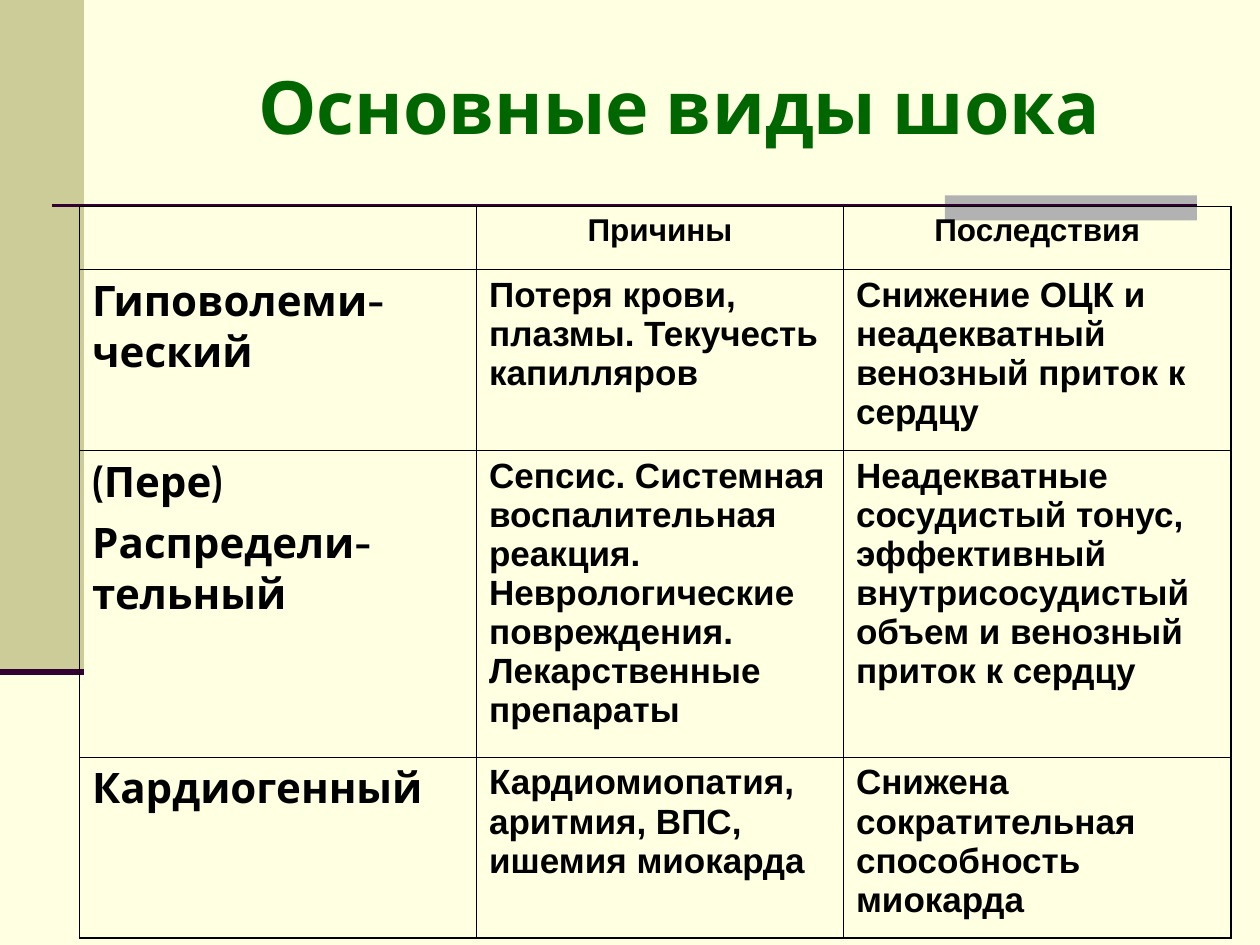
import pptx
import pptx.util
import pptx.dml.color
import pptx.enum.shapes
import pptx.enum.text
import pptx.oxml.ns
from lxml import etree

Pt = pptx.util.Pt
ALIGN = pptx.enum.text.PP_ALIGN
HUES = {"page": "FFFFE1", "side": "CCCC99", "bar": "B2B2B2",
        "rule": "330033", "title": "006600", "text": "000000"}


def tint(name):
    return pptx.dml.color.RGBColor.from_string(HUES[name])


def write(frame, lines, face, size, hue, align, gap=0):
    frame.word_wrap = True
    for i, line in enumerate(lines):
        para = frame.paragraphs[0] if i == 0 else frame.add_paragraph()
        para.text = line
        para.alignment = align
        if i:
            para.space_before = Pt(gap)
        form = {"name": face, "size": Pt(size), "bold": True}
        for key, value in form.items():
            setattr(para.font, key, value)
        para.font.color.rgb = tint(hue)


deck = pptx.Presentation()
deck.slide_width, deck.slide_height = Pt(720), Pt(540)
slide = deck.slides.add_slide(deck.slide_layouts[6])
slide.background.fill.solid()
slide.background.fill.fore_color.rgb = tint("page")

# Side band and grey bar
for hue, box in {"side": (0, 0, 48, 384), "bar": (540, 111.6, 144, 14.4)}.items():
    shape = slide.shapes.add_shape(
        pptx.enum.shapes.MSO_SHAPE.RECTANGLE, *map(Pt, box))
    shape.shadow.inherit = False
    shape.fill.solid()
    shape.fill.fore_color.rgb = tint(hue)
    shape.line.fill.background()

# Rules
for left, right, top, width in ((30, 684, 117.6, 1.5), (0, 48, 384, 3.5)):
    rule = slide.shapes.add_connector(
        pptx.enum.shapes.MSO_CONNECTOR.STRAIGHT,
        Pt(left), Pt(top), Pt(right), Pt(top))
    rule.line.color.rgb = tint("rule")
    rule.line.width = Pt(width)
    etree.SubElement(rule._element.spPr, pptx.oxml.ns.qn("a:effectLst"))

# Title
title = slide.shapes.add_textbox(Pt(82), Pt(20), Pt(612), Pt(80)).text_frame
title.vertical_anchor = pptx.enum.text.MSO_ANCHOR.MIDDLE
write(title, ["Основные виды шока"], "Cabin", 42, "title", ALIGN.CENTER)

# Table of shock types
ROWS = [
    ([], ["Причины"], ["Последствия"]),
    (["Гиповолеми-ческий"],
     ["Потеря крови, плазмы. Текучесть капилляров"],
     ["Снижение ОЦК и неадекватный венозный приток к сердцу"]),
    (["(Пере)", "Распредели-тельный"],
     ["Сепсис. Системная воспалительная реакция. Неврологические "
      "повреждения. Лекарственные препараты"],
     ["Неадекватные сосудистый тонус, эффективный внутрисосудистый "
      "объем и венозный приток к сердцу"]),
    (["Кардиогенный"],
     ["Кардиомиопатия, аритмия, ВПС, ишемия миокарда"],
     ["Снижена сократительная способность миокарда"]),
]
wide = [226.8, 209.7, 221.4]
high = [36, 103, 175, 103]
table = slide.shapes.add_table(
    len(high), len(wide), Pt(45.5), Pt(118),
    Pt(sum(wide)), Pt(sum(high))).table
table.first_row = table.horz_banding = False
for col, width in zip(table.columns, wide):
    col.width = Pt(width)
for row, height in zip(table.rows, high):
    row.height = Pt(height)

for r, row in enumerate(ROWS):
    for c, lines in enumerate(row):
        cell = table.cell(r, c)
        face, size = ("Arial", 18) if r == 0 else (
            ("Cabin", 24) if c == 0 else ("Arial", 20))
        align = ALIGN.CENTER if r == 0 else ALIGN.LEFT
        write(cell.text_frame, lines, face, size, "text", align, 6)

        # Borders: heavier on the outer frame
        outer = {"lnL": c == 0, "lnR": c == len(wide) - 1,
                 "lnT": r == 0, "lnB": r == len(high) - 1}
        props = cell._tc.get_or_add_tcPr()
        for tag, edge in outer.items():
            line = etree.SubElement(props, pptx.oxml.ns.qn("a:" + tag),
                                    w=str(Pt(1.08 if edge else 0.45)))
            fill = etree.SubElement(line, pptx.oxml.ns.qn("a:solidFill"))
            etree.SubElement(fill, pptx.oxml.ns.qn("a:srgbClr"),
                             val=HUES["text"])
        cell.fill.background()

deck.save("out.pptx")
